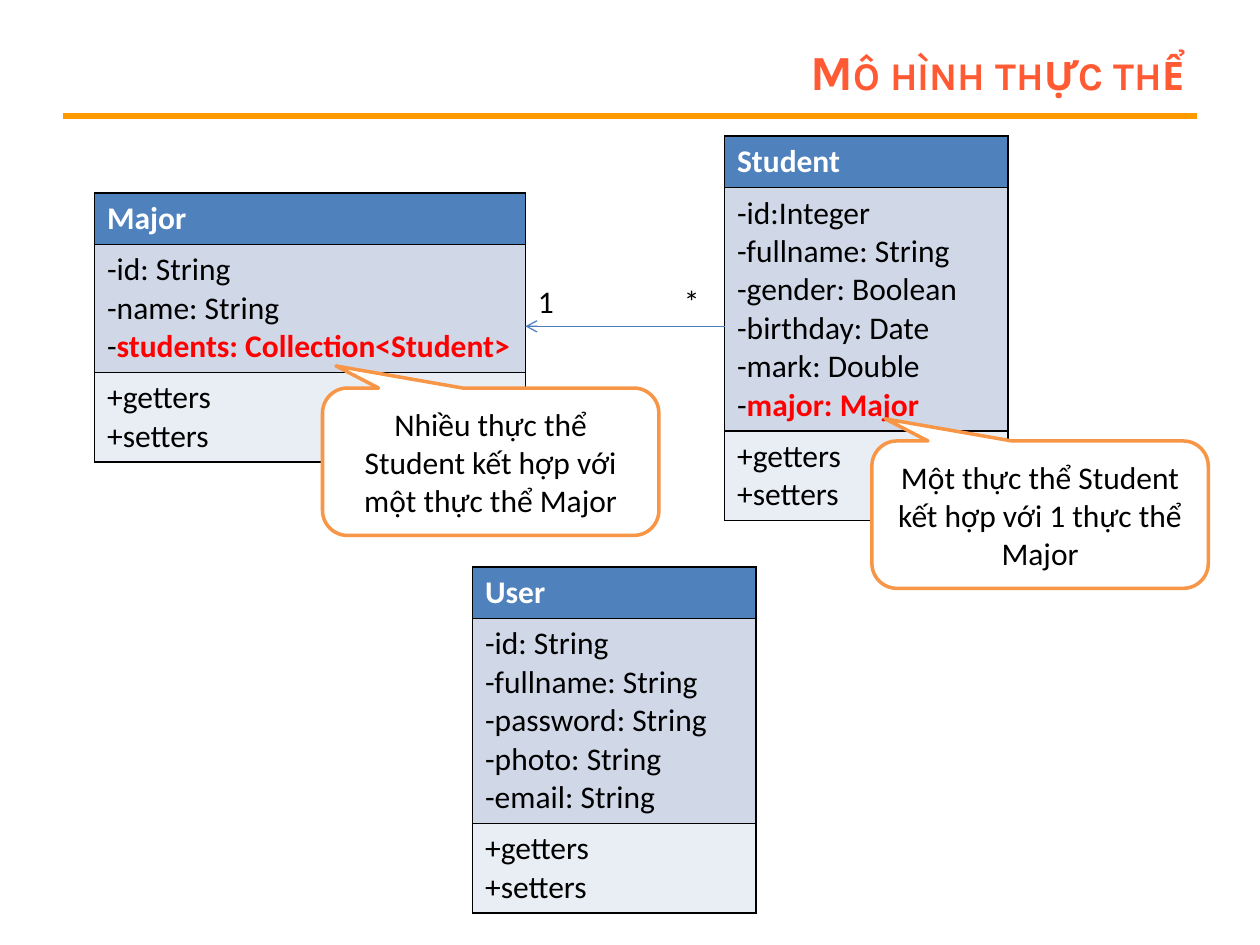
from dataclasses import dataclass

from lxml import etree
from pptx import Presentation
from pptx.dml.color import RGBColor
from pptx.enum.shapes import MSO_CONNECTOR, MSO_SHAPE
from pptx.enum.text import MSO_ANCHOR, MSO_AUTO_SIZE, PP_ALIGN
from pptx.oxml.ns import qn
from pptx.util import Inches, Pt

STRAIGHT = MSO_CONNECTOR.STRAIGHT
CALLOUT = MSO_SHAPE.ROUNDED_RECTANGULAR_CALLOUT
MIDDLE = MSO_ANCHOR.MIDDLE
CENTER, RIGHT = PP_ALIGN.CENTER, PP_ALIGN.RIGHT
FIT = MSO_AUTO_SIZE.SHAPE_TO_FIT_TEXT


@dataclass(frozen=True)
class Theme:
    font: str = "Calibri"
    head_font: str = "Karla"
    size: int = 18
    head_size: int = 28
    title: str = "FF5A33"
    rule: str = "FF9900"
    link: str = "4B7EBC"
    note: str = "F79646"
    ink: str = "000000"
    paper: str = "FFFFFF"
    key: str = "FF0000"
    fills: tuple = ("4F81BD", "D0D8E8", "E9EDF4")


THEME = Theme()
HEAD_H, LINE_H, PAD = 0.41, 0.305, 0.1
METHODS = ["+getters", "+setters"]

# name, left, top, width, fields; a field after "*" is a highlighted link
ENTITIES = [
    ("User", 3.75, 4.5, 2.25,
     ["id: String", "fullname: String", "password: String",
      "photo: String", "email: String"]),
    ("Major", 0.75, 1.53, 3.42,
     ["id: String", "name: String", "*students: Collection<Student>"]),
    ("Student", 5.75, 1.08, 2.25,
     ["id:Integer", "fullname: String", "gender: Boolean",
      "birthday: Date", "mark: Double", "*major: Major"]),
]
MARKS = [("1", 4.17), ("*", 5.33)]
NOTES = [
    ("Nhiều thực thể Student kết hợp với một thực thể Major", 2.56, 3.08),
    ("Một thực thể Student kết hợp với 1 thực thể Major", 6.92, 3.5),
]


def rgb(code):
    return RGBColor.from_string(code)


def add_run(para, text, color=THEME.ink, **extra):
    run = para.add_run()
    run.text = text
    look = {"name": THEME.font, "size": Pt(THEME.size), "bold": False} | extra
    for key, value in look.items():
        setattr(run.font, key, value)
    run.font.color.rgb = rgb(color)
    return run


def add_title(slide, text):
    title = slide.shapes.title
    box = {"left": 2.25, "top": 0.3, "width": 7.25, "height": 0.53}
    for key, value in box.items():
        setattr(title, key, Inches(value))
    frame = title.text_frame
    frame.vertical_anchor = MIDDLE
    para = frame.paragraphs[0]
    para.alignment = RIGHT
    run = add_run(para, text, THEME.title, name=THEME.head_font,
                  size=Pt(THEME.head_size), bold=True)
    run._r.get_or_add_rPr().set("cap", "small")


def add_line(slide, start, end, color, width, arrow=False):
    ends = [Inches(v) for v in (*start, *end)]
    line = slide.shapes.add_connector(STRAIGHT, *ends)
    line.line.color.rgb = rgb(color)
    line.line.width = Pt(width)
    if arrow:
        edge = line.line._get_or_add_ln()
        etree.SubElement(edge, qn("a:tailEnd"), type="arrow")
    etree.SubElement(line._element.spPr, qn("a:effectLst"))


def set_cell(cell, fill):
    """Draw thin borders on all four sides, then fill the cell."""
    props = cell._tc.get_or_add_tcPr()
    for side in ("lnL", "lnR", "lnT", "lnB"):
        edge = etree.SubElement(props, qn(f"a:{side}"), w=str(Pt(1)))
        paint = etree.SubElement(edge, qn("a:solidFill"))
        etree.SubElement(paint, qn("a:srgbClr"), val=THEME.ink)
    cell.fill.solid()
    cell.fill.fore_color.rgb = rgb(fill)


def add_lines(frame, lines):
    """Write one paragraph for each list of (text, format) runs."""
    for i, runs in enumerate(lines):
        para = frame.add_paragraph() if i else frame.paragraphs[0]
        for text, look in runs:
            add_run(para, text, **look)


def field_runs(field):
    if field.startswith("*"):
        return [("-", {}), (field[1:], {"color": THEME.key, "bold": True})]
    return [("-" + field, {})]


def add_entity(slide, name, left, top, width, fields):
    blocks = [
        [[(name, {"color": THEME.paper, "bold": True})]],
        [field_runs(field) for field in fields],
        [[(method, {})] for method in METHODS],
    ]
    tall = [HEAD_H] + [PAD + LINE_H * len(b) for b in blocks[1:]]
    box = [Inches(v) for v in (left, top, width, sum(tall))]
    table = slide.shapes.add_table(len(blocks), 1, *box).table
    for i, lines in enumerate(blocks):
        table.rows[i].height = Inches(tall[i])
        cell = table.cell(i, 0)
        set_cell(cell, THEME.fills[i])
        add_lines(cell.text_frame, lines)


def add_mark(slide, text, left):
    box = [Inches(v) for v in (left, 2.19, 0.33, 0.4)]
    frame = slide.shapes.add_textbox(*box).text_frame
    frame.word_wrap = False
    frame.auto_size = FIT
    add_run(frame.paragraphs[0], text)


def add_note(slide, text, left, top):
    box = [Inches(v) for v in (left, top, 2.67, 1.17)]
    note = slide.shapes.add_shape(CALLOUT, *box)
    note.shadow.inherit = False
    for i, value in enumerate((-0.46, -0.65, 0.17)):
        note.adjustments[i] = value
    note.fill.solid()
    note.fill.fore_color.rgb = rgb(THEME.paper)
    note.line.color.rgb = rgb(THEME.note)
    note.line.width = Pt(2)
    frame = note.text_frame
    frame.word_wrap = True
    frame.vertical_anchor = MIDDLE
    para = frame.paragraphs[0]
    para.alignment = CENTER
    add_run(para, text)


def main():
    deck = Presentation()
    deck.slide_width, deck.slide_height = Inches(10), Inches(7.5)
    slide = deck.slides.add_slide(deck.slide_layouts[5])
    add_line(slide, (0.5, 0.92), (9.5, 0.92), THEME.rule, 3)
    add_title(slide, "Mô hình thực thể")
    for entity in ENTITIES:
        add_entity(slide, *entity)
    add_line(slide, (5.75, 2.59), (4.17, 2.59), THEME.link, 0.75, arrow=True)
    for mark in MARKS:
        add_mark(slide, *mark)
    for note in NOTES:
        add_note(slide, *note)
    deck.save("out.pptx")


if __name__ == "__main__":
    main()
